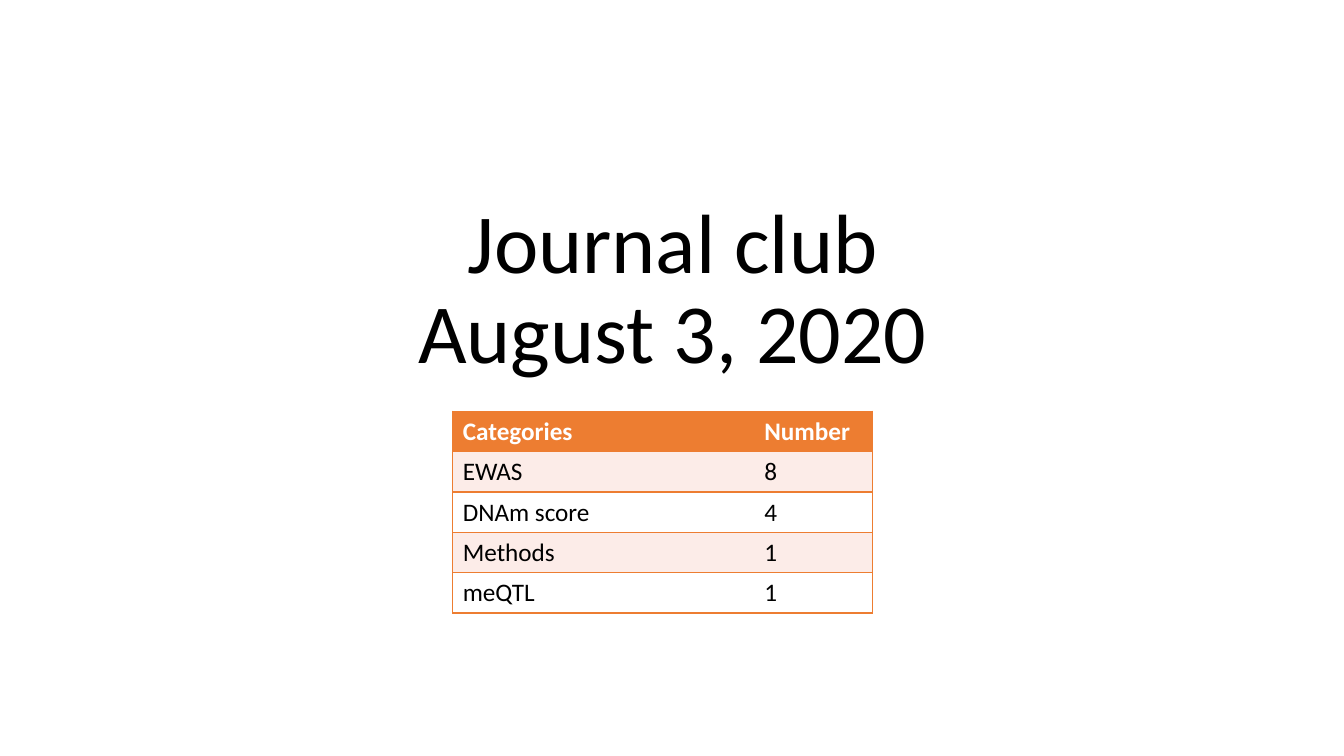
from dataclasses import dataclass

from lxml.etree import SubElement
from pptx import Presentation
from pptx.dml.color import RGBColor
from pptx.enum.text import MSO_ANCHOR, PP_ALIGN
from pptx.oxml.ns import qn
from pptx.util import Inches, Pt

TITLE = "Journal club\vAugust 3, 2020"
CATEGORIES = [
    ("Categories", "Number"),
    ("EWAS", "8"),
    ("DNAm score", "4"),
    ("Methods", "1"),
    ("meQTL", "1"),
]


@dataclass(frozen=True)
class Theme:
    font: str = "Calibri"
    title_size: int = 60
    table_size: int = 18
    text: str = "000000"
    header_text: str = "FFFFFF"
    accent: str = "ED7D31"
    band: str = "FCECE8"
    plain: str = "FFFFFF"
    border: float = 1
    table_style: str = "{2D5ABB26-0587-4C30-8999-92F81FD0307C}"


THEME = Theme()
TITLE_BOX = (1.67, 1.23, 10, 2.61)
TABLE_LEFT, TABLE_TOP = 4.49, 4.08
COLUMN_WIDTHS = (2.99, 1.17)
ROW_HEIGHT = 0.4


def write(frame, text, size, color=THEME.text, bold=False,
          align=PP_ALIGN.LEFT, spacing=1.0):
    paragraph = frame.paragraphs[0]
    paragraph.text = text
    paragraph.alignment = align
    paragraph.line_spacing = spacing
    for run in paragraph.runs:
        run.font.name = THEME.font
        run.font.size = Pt(size)
        run.font.bold = bold
        run.font.color.rgb = RGBColor.from_string(color)


def add_borders(cell, sides):
    properties = cell._tc.get_or_add_tcPr()
    for side in sides:
        line = SubElement(properties, qn(f"a:ln{side}"), w=str(Pt(THEME.border)))
        fill = SubElement(line, qn("a:solidFill"))
        SubElement(fill, qn("a:srgbClr"), val=THEME.accent)


def add_title(slide):
    title = slide.shapes.add_textbox(*map(Inches, TITLE_BOX)).text_frame
    title.word_wrap = True
    title.vertical_anchor = MSO_ANCHOR.BOTTOM
    write(title, TITLE, THEME.title_size, align=PP_ALIGN.CENTER, spacing=0.9)


def add_categories(slide):
    table = slide.shapes.add_table(
        len(CATEGORIES), len(COLUMN_WIDTHS), Inches(TABLE_LEFT), Inches(TABLE_TOP),
        Inches(sum(COLUMN_WIDTHS)), Inches(ROW_HEIGHT * len(CATEGORIES))).table
    table._tbl.tblPr.find(qn("a:tableStyleId")).text = THEME.table_style
    for column, width in zip(table.columns, COLUMN_WIDTHS):
        column.width = Inches(width)
    for row, entries in enumerate(CATEGORIES):
        table.rows[row].height = Inches(ROW_HEIGHT)
        header = row == 0
        background = THEME.accent if header else THEME.band if row % 2 else THEME.plain
        for column, entry in enumerate(entries):
            cell = table.cell(row, column)
            add_borders(cell, "LTB" if column == 0 else "RTB")
            cell.fill.solid()
            cell.fill.fore_color.rgb = RGBColor.from_string(background)
            write(cell.text_frame, entry, THEME.table_size, bold=header,
                  color=THEME.header_text if header else THEME.text)


def main():
    deck = Presentation()
    deck.slide_width, deck.slide_height = Inches(13.33), Inches(7.5)
    slide = deck.slides.add_slide(deck.slide_layouts[6])
    add_title(slide)
    add_categories(slide)
    deck.save("out.pptx")


if __name__ == "__main__":
    main()
